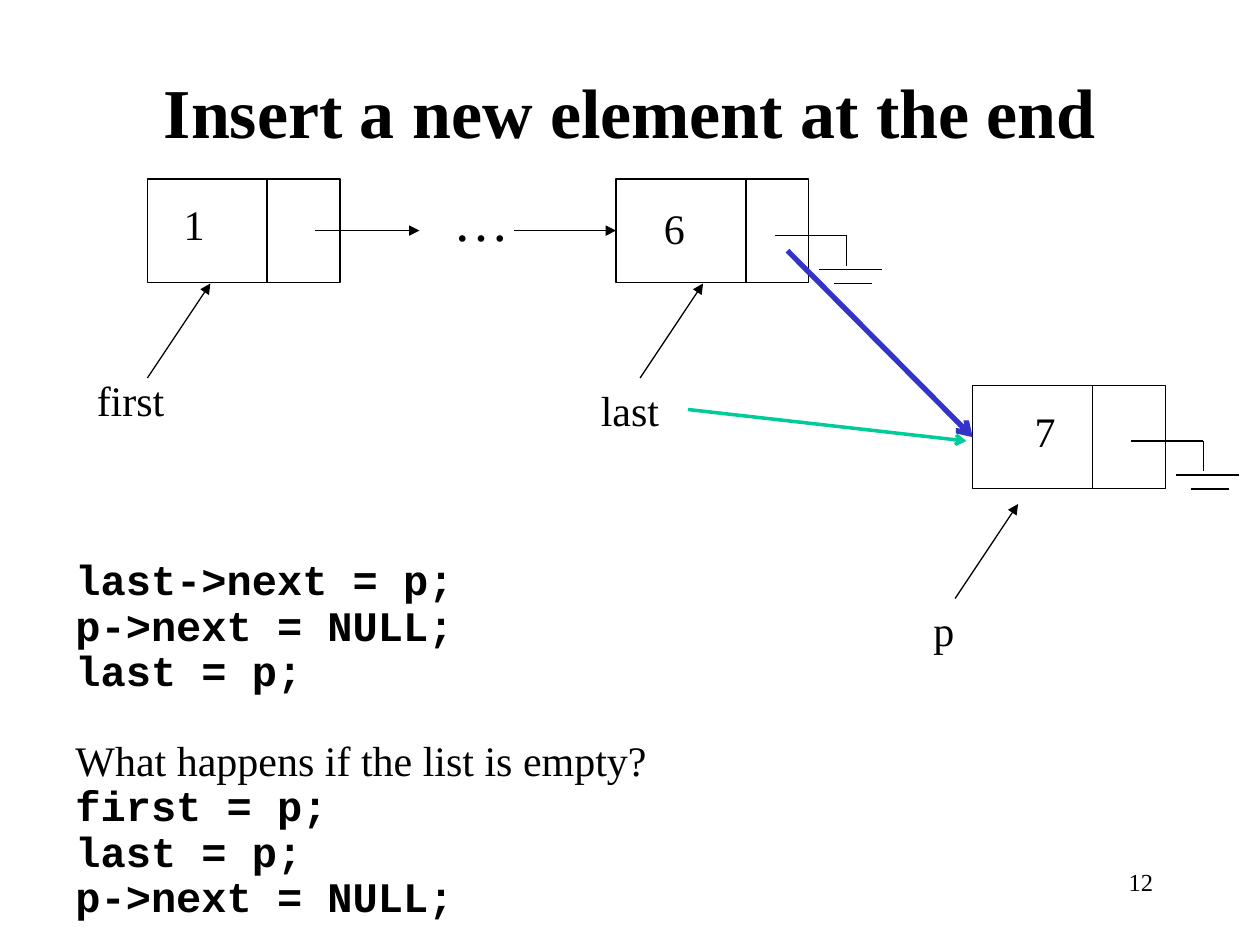
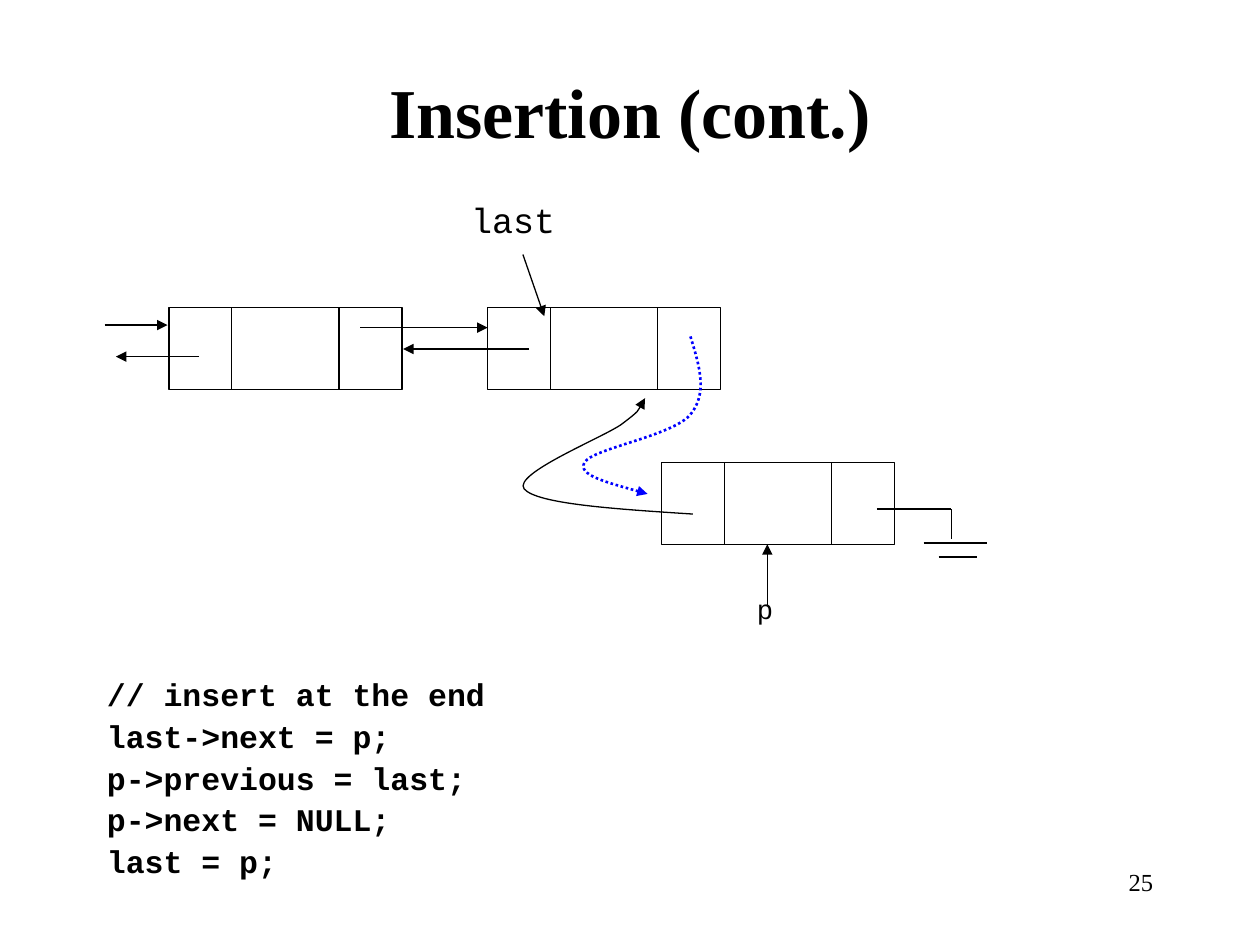
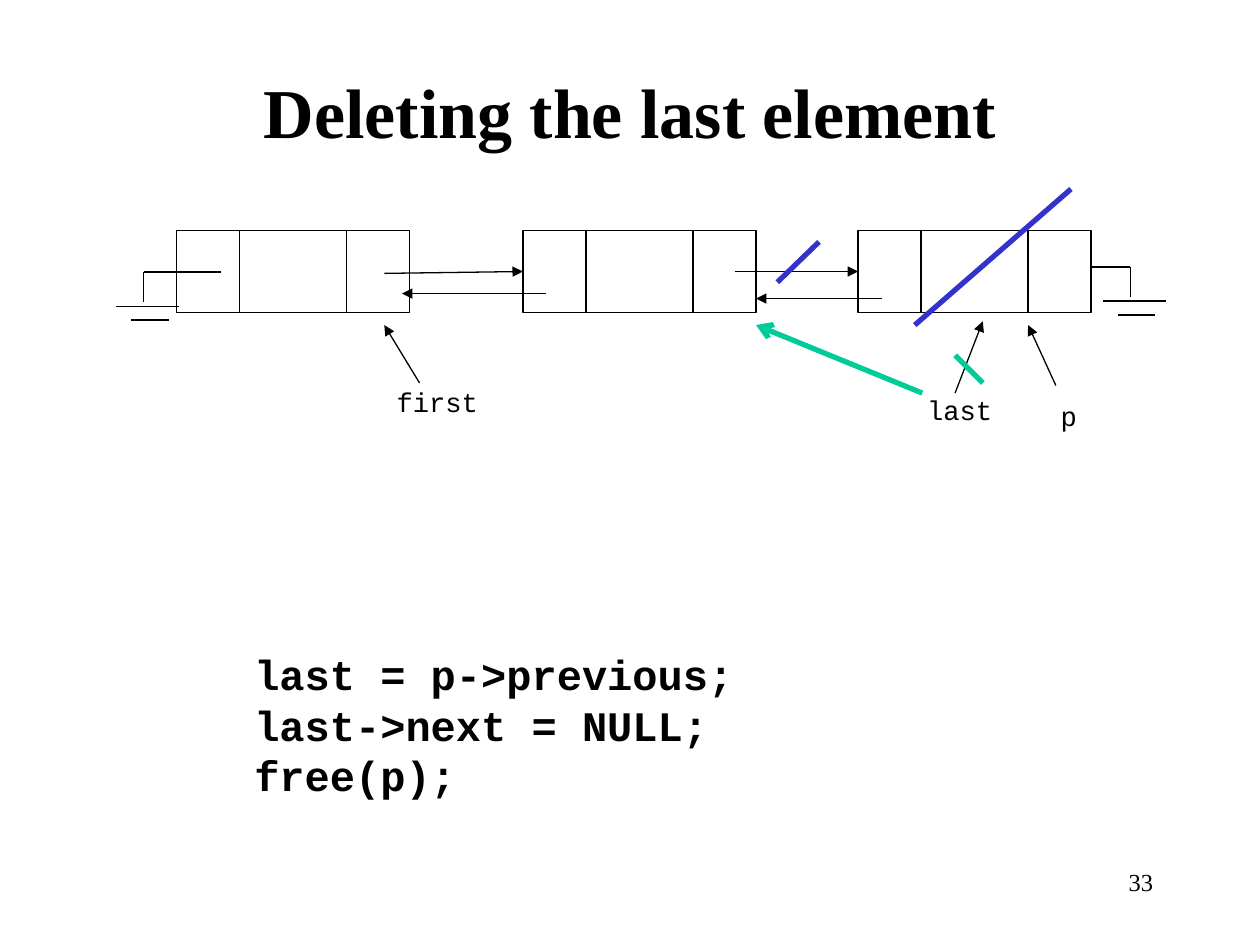
from dataclasses import dataclass, replace
from itertools import chain

from lxml.etree import SubElement
from pptx import Presentation
from pptx.dml.color import RGBColor
from pptx.enum.dml import MSO_LINE
from pptx.enum.shapes import MSO_CONNECTOR, MSO_SHAPE
from pptx.enum.text import MSO_ANCHOR, MSO_AUTO_SIZE, PP_ALIGN
from pptx.oxml.ns import qn
from pptx.util import Inches, Pt

BLACK = RGBColor(0x00, 0x00, 0x00)
WHITE = RGBColor(0xFF, 0xFF, 0xFF)
INDIGO = RGBColor(0x33, 0x33, 0xCC)
GREEN = RGBColor(0x00, 0xCC, 0x99)
BLUE = RGBColor(0x00, 0x00, 0xFF)
SERIF = "Times New Roman"
MONO = "Courier New"
THIN = 0.75
DOUBLE_HEIGHT = 0.65


@dataclass(frozen=True)
class TextStyle:
    """Font and paragraph settings of a line of text."""
    size: float
    font: str = SERIF
    bold: bool = False
    align: PP_ALIGN = PP_ALIGN.LEFT
    spacing: float = 1.0
    before: float = 0


TITLE = TextStyle(40, bold=True, align=PP_ALIGN.CENTER)
PAGE_NUMBER = TextStyle(14, align=PP_ALIGN.RIGHT)
LABEL = TextStyle(24)
ELLIPSIS = TextStyle(32)
POINTER = TextStyle(15.5, MONO, spacing=0.8)
CODE = TextStyle(24, MONO, bold=True)
TIGHT_CODE = replace(CODE, spacing=0.9)
QUESTION = TextStyle(24, spacing=0.9, before=25.5)
SPACED_CODE = TextStyle(18, MONO, bold=True, spacing=0.9, before=4.5)


def write_lines(frame, lines):
    """Fill a text frame with (text, style) lines."""
    frame.word_wrap = True
    frame.auto_size = MSO_AUTO_SIZE.NONE
    for index, (text, style) in enumerate(lines):
        paragraph = frame.add_paragraph() if index else frame.paragraphs[0]
        paragraph.alignment = style.align
        paragraph.line_spacing = style.spacing
        paragraph.space_before = Pt(style.before if index else 0)
        run = paragraph.add_run()
        run.text = text
        run.font.name = style.font
        run.font.size = Pt(style.size)
        run.font.bold = style.bold
        run.font.color.rgb = BLACK


def add_text(slide, box, *lines):
    """Place a text box holding (text, style) lines."""
    textbox = slide.shapes.add_textbox(*map(Inches, box))
    write_lines(textbox.text_frame, lines)


def add_arrowhead(line, head):
    """Put an arrowhead at the far end of a line."""
    SubElement(line._get_or_add_ln(), qn("a:tailEnd"), type=head)


def add_line(slide, start, end, color=BLACK, width=THIN, head=None, target=None):
    """Draw a straight line, joined to the left side of the target if given."""
    connector = slide.shapes.add_connector(
        MSO_CONNECTOR.STRAIGHT, *map(Inches, (*start, *end)))
    connector.line.color.rgb = color
    connector.line.width = Pt(width)
    SubElement(connector._element.spPr, qn("a:effectLst"))
    if head:
        add_arrowhead(connector.line, head)
    if target is not None:
        connector.end_connect(target, 1)


def add_arrow(slide, start, end, target=None):
    """Draw a thin black arrow."""
    add_line(slide, start, end, head="triangle", target=target)


def bend_segments(curve):
    """Turn each three straight segments of a freeform into one Bezier segment."""
    straights = list(curve._element.iter(qn("a:lnTo")))
    outline = straights[0].getparent()
    for first in range(0, len(straights), 3):
        bezier = SubElement(outline, qn("a:cubicBezTo"))
        for straight in straights[first:first + 3]:
            bezier.append(straight[0])
            outline.remove(straight)


def add_curve(slide, start, controls, color, width, dash=None):
    """Draw a curved arrow, given three control points for each segment."""
    builder = slide.shapes.build_freeform(*map(Inches, start))
    builder.add_line_segments(
        [(Inches(x), Inches(y)) for x, y in controls], close=False)
    curve = builder.convert_to_shape()
    bend_segments(curve)
    curve.shadow.inherit = False
    curve.fill.background()
    curve.line.color.rgb = color
    curve.line.width = Pt(width)
    if dash:
        curve.line.dash_style = dash
    add_arrowhead(curve.line, "triangle")


def add_node(slide, left, top, width, height, dividers):
    """Draw a list node split by vertical dividers and return its outline."""
    node = slide.shapes.add_shape(
        MSO_SHAPE.RECTANGLE, *map(Inches, (left, top, width, height)))
    node.shadow.inherit = False
    node.fill.solid()
    node.fill.fore_color.rgb = WHITE
    node.line.color.rgb = BLACK
    node.line.width = Pt(THIN)
    for offset in dividers:
        add_line(slide, (left + offset, top), (left + offset, top + height))
    return node


def add_single_node(slide, left, top, value, value_offset, divider=0.95,
                    align=PP_ALIGN.LEFT):
    """Draw a node with a value and a next field."""
    node = add_node(slide, left, top, 1.53, 0.82, [divider])
    across, down = value_offset
    add_text(slide, (left + across, top + down, 0.77, 0.61),
             (value, replace(LABEL, align=align)))
    return node


def add_double_node(slide, left, top):
    """Draw a node with previous, value and next fields."""
    return add_node(slide, left, top, 1.85, DOUBLE_HEIGHT, (0.5, 1.35))


def add_ground(slide, wire_start, stem, top):
    """Draw the null symbol: a wire, its stem and two bars."""
    add_line(slide, (wire_start, top), (stem, top))
    add_line(slide, (stem, top), (stem, top + 0.24))
    for drop, before, after in ((0.27, 0.22, 0.28), (0.38, 0.1, 0.2)):
        add_line(slide, (stem - before, top + drop), (stem + after, top + drop))


def add_titled_slide(deck, title, number):
    """Add a slide with its title and page number."""
    slide = deck.slides.add_slide(deck.slide_layouts[5])
    heading = slide.shapes.title
    heading.left, heading.top, heading.width, heading.height = map(
        Inches, (0.75, 0.5, 8.5, 0.75))
    heading.text_frame.vertical_anchor = MSO_ANCHOR.MIDDLE
    write_lines(heading.text_frame, [(title, TITLE)])
    add_text(slide, (7.17, 6.83, 2.08, 0.5), (number, PAGE_NUMBER))
    return slide


def add_code(slide, box, style, *statements):
    """Place statements that share one style."""
    add_text(slide, box, *((statement, style) for statement in statements))


def build_single_insertion(deck):
    """Build the slide on appending to a singly linked list."""
    slide = add_titled_slide(deck, "Insert a new element at the end", "12")
    row_top = 1.42
    row_middle = row_top + 0.41
    add_single_node(slide, 1.17, row_top, "1", (0.19, 0.11))
    last_node = add_single_node(slide, 4.89, row_top, "6", (0.28, 0.14), 1.03)
    new_node = add_single_node(slide, 7.72, 3.06, "7", (0.19, 0.11),
                               align=PP_ALIGN.CENTER)
    add_arrow(slide, (2.5, row_middle), (3.33, row_middle))
    add_text(slide, (3.5, row_top, 0.83, 0.64), ("…", ELLIPSIS))
    add_arrow(slide, (4.08, row_middle), (4.89, row_middle), last_node)
    for name, left, top, width, tail in (
            ("first", 0.67, 2.92, 1.5, (1.17, 3)),
            ("last", 4.67, 3, 1.58, (5.08, 3)),
            ("p", 7.31, 4.75, 0.94, (7.58, 4.75))):
        add_text(slide, (left, top, width, 0.5), (name, LABEL))
        add_arrow(slide, tail, (tail[0] + 0.5, tail[1] - 0.75))
    add_ground(slide, 6.15, 6.72, 1.87)
    add_ground(slide, 8.98, 9.55, 3.5)
    add_line(slide, (6.25, 1.99), (7.72, 3.47), INDIGO, 3, "arrow", new_node)
    add_line(slide, (5.46, 3.25), (7.67, 3.5), GREEN, 2, "arrow")
    general_case = ("last->next = p;", "p->next = NULL;", "last = p;")
    empty_case = ("first = p;", "last = p;", "p->next = NULL;")
    add_text(slide, (0.5, 4.39, 7.28, 2.98), *chain(
        ((statement, TIGHT_CODE) for statement in general_case),
        [("What happens if the list is empty?", QUESTION)],
        ((statement, TIGHT_CODE) for statement in empty_case)))


def build_double_insertion(deck):
    """Build the slide on appending to a doubly linked list."""
    slide = add_titled_slide(deck, "Insertion (cont.)", "25")
    add_code(slide, (0.75, 5.34, 8.5, 1.83), SPACED_CODE,
             "// insert at the end", "last->next = p;", "p->previous = last;",
             "p->next = NULL;", "last = p;")
    for left, top in ((1.34, 2.44), (3.87, 2.44), (5.25, 3.67)):
        add_double_node(slide, left, top)
    add_text(slide, (3.64, 1.53, 2.02, 0.49), ("last", TextStyle(20, MONO)))
    add_text(slide, (5.91, 4.7, 2.5, 0.38), ("p", POINTER))
    for start, end in (
            ((0.83, 2.58), (1.33, 2.58)),
            ((1.58, 2.83), (0.92, 2.83)),
            ((2.86, 2.6), (3.87, 2.6)),
            ((4.2, 2.77), (3.2, 2.77)),
            ((4.15, 2.02), (4.32, 2.51)),
            ((6.09, 4.81), (6.09, 4.32))):
        add_arrow(slide, start, end)
    add_curve(slide, (5.48, 2.67), (
        (5.55, 2.9), (5.62, 3.12), (5.48, 3.29),
        (5.34, 3.46), (4.7, 3.56), (4.64, 3.67),
        (4.58, 3.77), (4.86, 3.84), (5.14, 3.92)), BLUE, 1.5, MSO_LINE.ROUND_DOT)
    add_curve(slide, (5.5, 4.08), (
        (4.88, 4.04), (4.26, 4), (4.16, 3.88),
        (4.07, 3.76), (4.77, 3.48), (4.93, 3.37),
        (5.09, 3.25), (5.1, 3.2), (5.12, 3.16)), BLACK, THIN)
    add_ground(slide, 6.96, 7.55, 4.04)


def build_deletion(deck):
    """Build the slide on removing the last node."""
    slide = add_titled_slide(deck, "Deleting the last element", "33")
    row_top = 1.83
    row_middle = row_top + DOUBLE_HEIGHT / 2
    add_ground(slide, 8.38, 8.97, 2.12)
    _, middle_node, last_node = [
        add_double_node(slide, left, row_top) for left in (1.4, 4.15, 6.81)]
    add_ground(slide, 1.75, 1.14, 2.16)
    add_arrow(slide, (3.05, 2.17), (4.15, row_middle), middle_node)
    add_arrow(slide, (5.83, row_middle), (6.81, row_middle), last_node)
    add_arrow(slide, (4.33, 2.33), (3.19, 2.33))
    add_arrow(slide, (7, 2.37), (6, 2.37))
    for name, left, top, width, tail, tip in (
            ("first", 3.05, 3.06, 1.07, (3.33, 3.04), (3.05, 2.58)),
            ("last", 7.26, 3.12, 1.07, (7.58, 3.12), (7.8, 2.55)),
            ("p", 8.32, 3.17, 0.51, (8.38, 3.06), (8.16, 2.58))):
        add_text(slide, (left, top, width, 0.38), (name, POINTER))
        add_arrow(slide, tail, tip)
    add_line(slide, (7.58, 2.82), (7.8, 3.04), GREEN, 3)
    add_line(slide, (7.32, 3.12), (6, 2.58), GREEN, 3, "arrow")
    add_line(slide, (6.5, 1.92), (6.17, 2.24), INDIGO, 3)
    add_line(slide, (8.5, 1.5), (7.26, 2.58), INDIGO, 3)
    add_code(slide, (1.92, 5.1, 5, 1.3), CODE,
             "last = p->previous;", "last->next = NULL;", "free(p);")


def main():
    """Build and save the three slides."""
    deck = Presentation()
    deck.slide_width, deck.slide_height = Inches(10), Inches(7.5)
    build_single_insertion(deck)
    build_double_insertion(deck)
    build_deletion(deck)
    deck.save("out.pptx")


if __name__ == "__main__":
    main()
